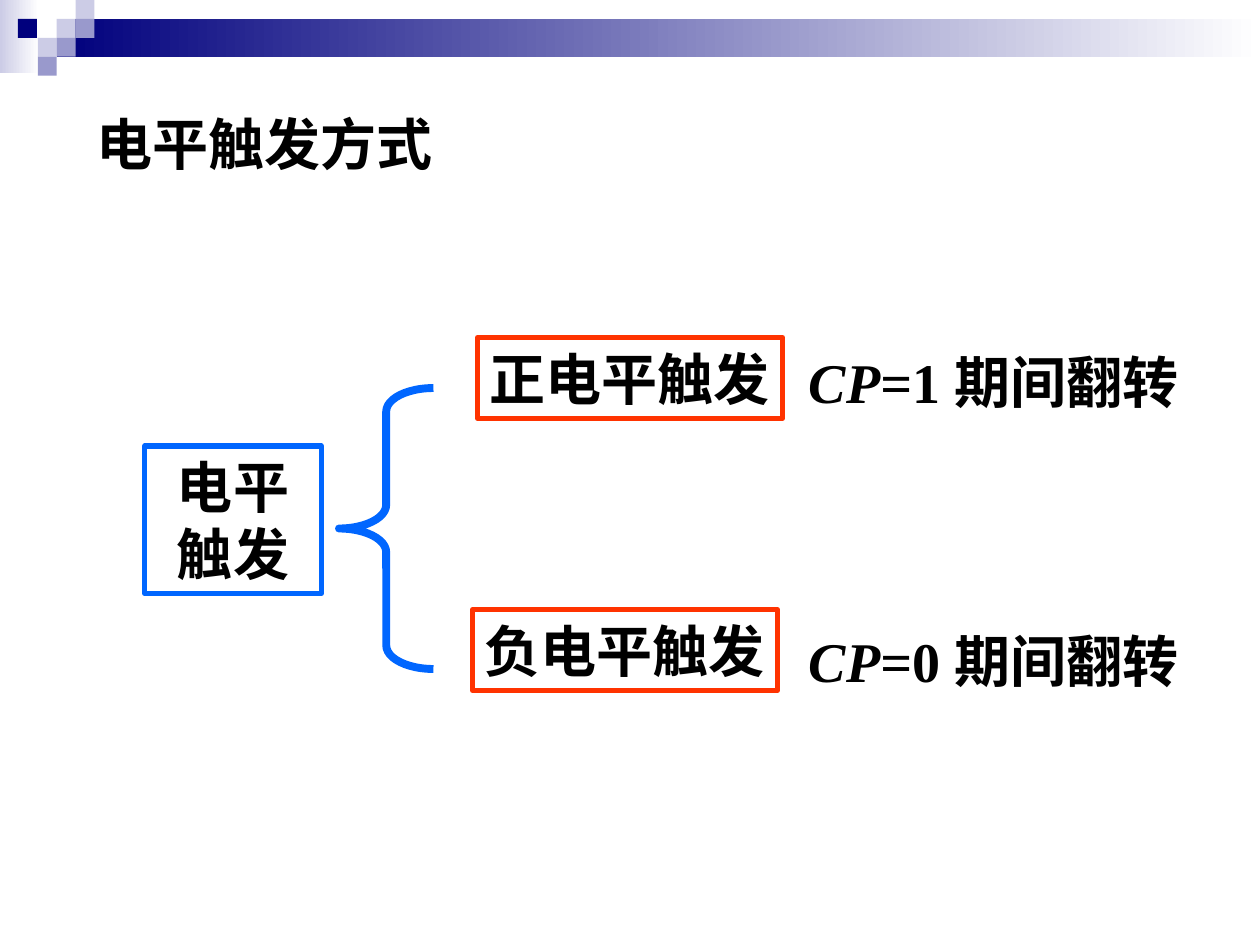
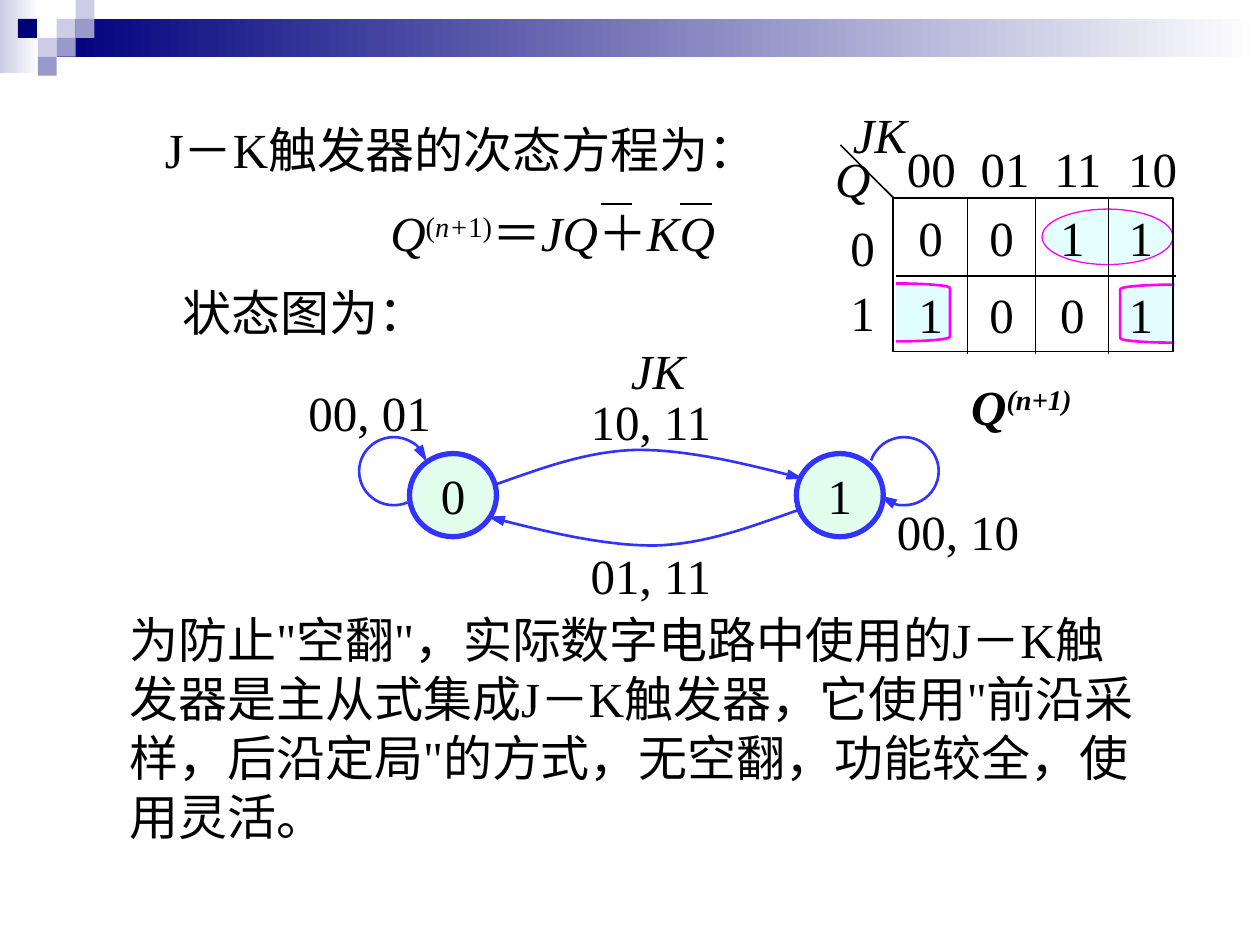
from dataclasses import dataclass
from itertools import pairwise

from lxml.etree import SubElement
from pptx import Presentation
from pptx.dml.color import RGBColor
from pptx.enum.shapes import MSO_CONNECTOR, MSO_SHAPE
from pptx.enum.text import MSO_ANCHOR, PP_ALIGN
from pptx.oxml.ns import qn
from pptx.util import Inches, Pt


@dataclass(frozen=True)
class Theme:
    font: str = "Times New Roman"
    ink: str = "000000"
    paper: str = "FFFFFF"
    navy: str = "00007D"
    violet: str = "9999CC"
    lavender: str = "CCCCE6"
    blue: str = "0066FF"
    red: str = "FF3300"
    state_line: str = "3333FF"
    state_fill: str = "E2FEED"
    group_line: str = "FF00FF"
    group_fill: str = "E1FDFF"
    group_glass: str = "CCFFFF"
    heading: int = 32
    body: int = 28


THEME = Theme()
WIDTH, HEIGHT = Inches(10), Inches(7.5)
COLUMNS, ROWS = 100, 75


def x(column):
    return round(WIDTH * column / COLUMNS)


def y(row):
    return round(HEIGHT * row / ROWS)


def place(box):
    """Turn (column, row, columns, rows) into slide lengths."""
    column, row, columns, rows = box
    return x(column), y(row), x(columns), y(rows)


def rgb(colour):
    return RGBColor.from_string(colour)


def write(frame, *paragraphs, size=THEME.body, bold=False, italic=False,
          align=PP_ALIGN.LEFT, anchor=MSO_ANCHOR.TOP, wrap=False,
          spacing=None, tabs=()):
    """Fill a frame; a paragraph is a string or a list of (text, format) runs."""
    frame.word_wrap = wrap
    frame.vertical_anchor = anchor
    for index, content in enumerate(paragraphs):
        paragraph = frame.add_paragraph() if index else frame.paragraphs[0]
        if tabs:
            stops = SubElement(paragraph._p.get_or_add_pPr(), qn("a:tabLst"))
            for stop in tabs:
                SubElement(stops, qn("a:tab"), pos=str(x(stop)), algn="l")
        paragraph.alignment = align
        if spacing:
            paragraph.line_spacing = spacing
        runs = [(content, {})] if isinstance(content, str) else content
        for text, style in runs:
            run = paragraph.add_run()
            run.text = text
            font = run.font
            font.name, font.size = THEME.font, Pt(size)
            font.color.rgb = rgb(THEME.ink)
            font.bold = bold
            font.italic = style.get("italic", italic)
            if "raised" in style:
                run._r.get_or_add_rPr().set("baseline", "30000")


def add_text(slide, box, *paragraphs, **style):
    write(slide.shapes.add_textbox(*place(box)).text_frame, *paragraphs, **style)


def paint(shape, fill=None, line=None, weight=1, alpha=None, arrow=False):
    shape.shadow.inherit = False
    if isinstance(fill, tuple):
        shape.fill.gradient()
        shape.fill.gradient_angle = 0
        for stop, colour in zip(shape.fill.gradient_stops, fill):
            stop.color.rgb = rgb(colour)
    elif fill:
        shape.fill.solid()
        shape.fill.fore_color.rgb = rgb(fill)
        if alpha:
            colour_node = shape._element.spPr.find(".//" + qn("a:srgbClr"))
            SubElement(colour_node, qn("a:alpha"), val=str(alpha * 1000))
    else:
        shape.fill.background()
    if line:
        shape.line.color.rgb = rgb(line)
        shape.line.width = Pt(weight)
    else:
        shape.line.fill.background()
    if arrow:
        SubElement(shape.line._get_or_add_ln(), qn("a:tailEnd"),
                   type="triangle", w="med", len="lg")


def add_figure(slide, kind, box, adjustments=(), **look):
    figure = slide.shapes.add_shape(kind, *place(box))
    for index, value in enumerate(adjustments):
        figure.adjustments[index] = value
    paint(figure, **look)
    return figure


def add_rule(slide, start, end, weight=0.75):
    rule = slide.shapes.add_connector(
        MSO_CONNECTOR.STRAIGHT, x(start[0]), y(start[1]), x(end[0]), y(end[1]))
    rule.line.color.rgb = rgb(THEME.ink)
    rule.line.width = Pt(weight)
    SubElement(rule._element.spPr, qn("a:effectLst"))


def curve_points(anchors, steps=16):
    """Sample the cubic curves through start, control, control, end, ..."""
    points = [anchors[0]]
    for first in range(0, len(anchors) - 1, 3):
        a, b, c, d = anchors[first:first + 4]
        for step in range(1, steps + 1):
            t = step / steps
            u = 1 - t
            points.append(tuple(
                u**3 * a[i] + 3 * u * u * t * b[i] + 3 * u * t * t * c[i] + t**3 * d[i]
                for i in (0, 1)))
    return points


def add_transition(slide, anchors):
    start, *rest = [(x(column), y(row)) for column, row in curve_points(anchors)]
    builder = slide.shapes.build_freeform(*start)
    builder.add_line_segments(rest, close=False)
    paint(builder.convert_to_shape(), line=THEME.state_line, weight=1.5, arrow=True)


def add_self_loop(slide, box, start_angle, end_angle):
    # Arc angles count 60000 per degree; adjustments count 100000 per unit.
    add_figure(slide, MSO_SHAPE.ARC, box, (start_angle * 0.6, end_angle * 0.6),
               line=THEME.state_line, weight=1.5, arrow=True)


def add_header(slide):
    add_figure(slide, MSO_SHAPE.RECTANGLE, (0, 0, 3.1, 5.8),
               fill=(THEME.lavender, THEME.paper))
    add_figure(slide, MSO_SHAPE.RECTANGLE, (4.5, 1.5, 95.5, 3),
               fill=(THEME.navy, THEME.paper))
    tile = 1.5
    mosaic = [(3, 1, THEME.lavender), (4, 0, THEME.lavender), (4, 1, THEME.violet),
              (2, 2, THEME.lavender), (0.95, 1, THEME.navy), (3, 2, THEME.violet),
              (2, 3, THEME.violet)]
    for column, row, colour in mosaic:
        add_figure(slide, MSO_SHAPE.RECTANGLE,
                   (column * tile, row * tile, tile, tile), fill=colour)


def add_frame(slide, box, label, colour, wrap=False):
    frame = add_figure(slide, MSO_SHAPE.RECTANGLE, box, line=colour, weight=3)
    write(frame.text_frame, label, size=THEME.heading, bold=True, wrap=wrap,
          align=PP_ALIGN.CENTER, anchor=MSO_ANCHOR.MIDDLE)


def build_level_trigger(slide):
    add_header(slide)
    add_text(slide, (6.7, 8.2, 45.4, 6.4), "电平触发方式",
             size=THEME.heading, bold=True)
    add_frame(slide, (11.5, 35.4, 14, 11.7), "电平触发", THEME.blue, wrap=True)
    add_figure(slide, MSO_SHAPE.LEFT_BRACE, (26.9, 30.8, 7.5, 22.3), (0.25, 0.5),
               line=THEME.blue, weight=4.5)
    branches = [("正电平触发", 37.9, 26.8, "=1 期间翻转", 27.1),
                ("负电平触发", 37.5, 48.4, "=0 期间翻转", 49.2)]
    for label, column, row, condition, condition_row in branches:
        add_frame(slide, (column, row, 24.2, 6.4), label, THEME.red)
        add_text(slide, (63.2, condition_row, 32.2, 11.7),
                 [("CP", {"italic": True}), (condition, {})],
                 size=THEME.heading, bold=True, wrap=True)


def add_next_state_equation(slide):
    italic, raised = {"italic": True}, {"raised": True}
    add_text(slide, (30, 15.6, 31.5, 5.7),
             [("Q", italic), ("(", raised), ("n+", italic | raised),
              ("1)", raised), ("＝", {}), ("JQ", italic), ("＋", {}),
              ("KQ", italic)])
    for bar in (47.7, 54):
        add_rule(slide, (bar, 16.2), (bar + 2.5, 16.2), 1.5)


def add_state_diagram(slide):
    for state, column in (("0", 32.5), ("1", 63.2)):
        circle = add_figure(slide, MSO_SHAPE.OVAL, (column, 36, 6.9, 6.6),
                            fill=THEME.state_fill, line=THEME.state_line, weight=3)
        write(circle.text_frame, state, align=PP_ALIGN.CENTER,
              anchor=MSO_ANCHOR.MIDDLE)
    rising = [(39.2, 38.5), (42.9, 37.2), (46.5, 35.8), (50.6, 35.7),
              (54.7, 35.7), (59.2, 36.8), (63.8, 38)]
    falling = [(102.5 - column, 79 - row) for column, row in rising]
    add_transition(slide, rising)
    add_transition(slide, falling)
    add_self_loop(slide, (28.5, 34.7, 5.5, 5.4), 66, 345)
    add_self_loop(slide, (69, 34.7, 5.5, 5.4), 198, 135)
    add_text(slide, (49.1, 26.5, 6.3, 5.7), "JK", italic=True)
    inputs = [("00, 01", 23.5, 29.9), ("10, 11", 45.9, 30.6),
              ("01, 11", 45.9, 42.8), ("00, 10", 70.2, 39.3)]
    for label, column, row in inputs:
        add_text(slide, (column, row, 11.7, 5.7), label)


def add_karnaugh_map(slide):
    column_edges = (70.9, 76.8, 82.2, 88, 93.1)
    row_edges = (15.7, 21.9, 27.9)
    values = ("0011", "1001")
    left, right = column_edges[0], column_edges[-1]
    top, bottom = row_edges[0], row_edges[-1]

    group = {"line": THEME.group_line, "weight": 1.5, "fill": THEME.group_fill}
    add_figure(slide, MSO_SHAPE.RIGHT_BRACKET, (71.1, 22.5, 4.3, 4.6), **group)
    add_figure(slide, MSO_SHAPE.LEFT_BRACKET, (88.9, 22.6, 4.3, 4.6), **group)
    add_figure(slide, MSO_SHAPE.OVAL, (82.7, 16.6, 10.4, 4.4),
               fill=THEME.group_glass, alpha=50, line=THEME.group_line, weight=0.75)

    add_figure(slide, MSO_SHAPE.RECTANGLE, (left, top, right - left, bottom - top),
               line=THEME.ink)
    add_rule(slide, (left, top), (left - 4.2, top - 4.2), 1)
    for edge in row_edges[1:-1]:
        add_rule(slide, (left + 0.2, edge), (right + 0.2, edge))
    for edge in column_edges[1:-1]:
        add_rule(slide, (edge, top), (edge, bottom + 0.2))

    for (row, next_row), digits in zip(pairwise(row_edges), values):
        for (column, next_column), digit in zip(pairwise(column_edges), digits):
            add_text(slide, (column, row, next_column - column, next_row - row),
                     digit, align=PP_ALIGN.CENTER, anchor=MSO_ANCHOR.MIDDLE)

    add_text(slide, (71, 10.5, 25, 5.7), "00\t01\t11\t10", wrap=True,
             tabs=(5.85, 11.7, 17.55))
    add_text(slide, (66.5, 16.3, 4, 11.3), "0", "1", spacing=1.1)
    add_text(slide, (66.7, 7.8, 6.3, 5.7), "JK", italic=True)
    add_text(slide, (65.3, 11.3, 4.8, 5.7), "Q", italic=True)
    add_text(slide, (76.1, 29.4, 10.9, 5.7),
             [("Q", {}), ("(n+1)", {"raised": True})], bold=True, italic=True)


def build_jk_flip_flop(slide):
    add_header(slide)
    add_text(slide, (12.1, 9, 51.8, 5.7), "J－K触发器的次态方程为：")
    add_next_state_equation(slide)
    add_text(slide, (13.5, 21.9, 21.4, 5.7), "状态图为：")
    add_state_diagram(slide)
    add_text(slide, (9.3, 47.9, 82.8, 19.7),
             '为防止"空翻"，实际数字电路中使用的J－K触发器是主从式集成J－K触发器，'
             '它使用"前沿采样，后沿定局"的方式，无空翻，功能较全，使用灵活。', wrap=True)
    add_karnaugh_map(slide)


def main():
    deck = Presentation()
    deck.slide_width, deck.slide_height = WIDTH, HEIGHT
    blank = deck.slide_layouts[6]
    for build in (build_level_trigger, build_jk_flip_flop):
        build(deck.slides.add_slide(blank))
    deck.save("out.pptx")


if __name__ == "__main__":
    main()
